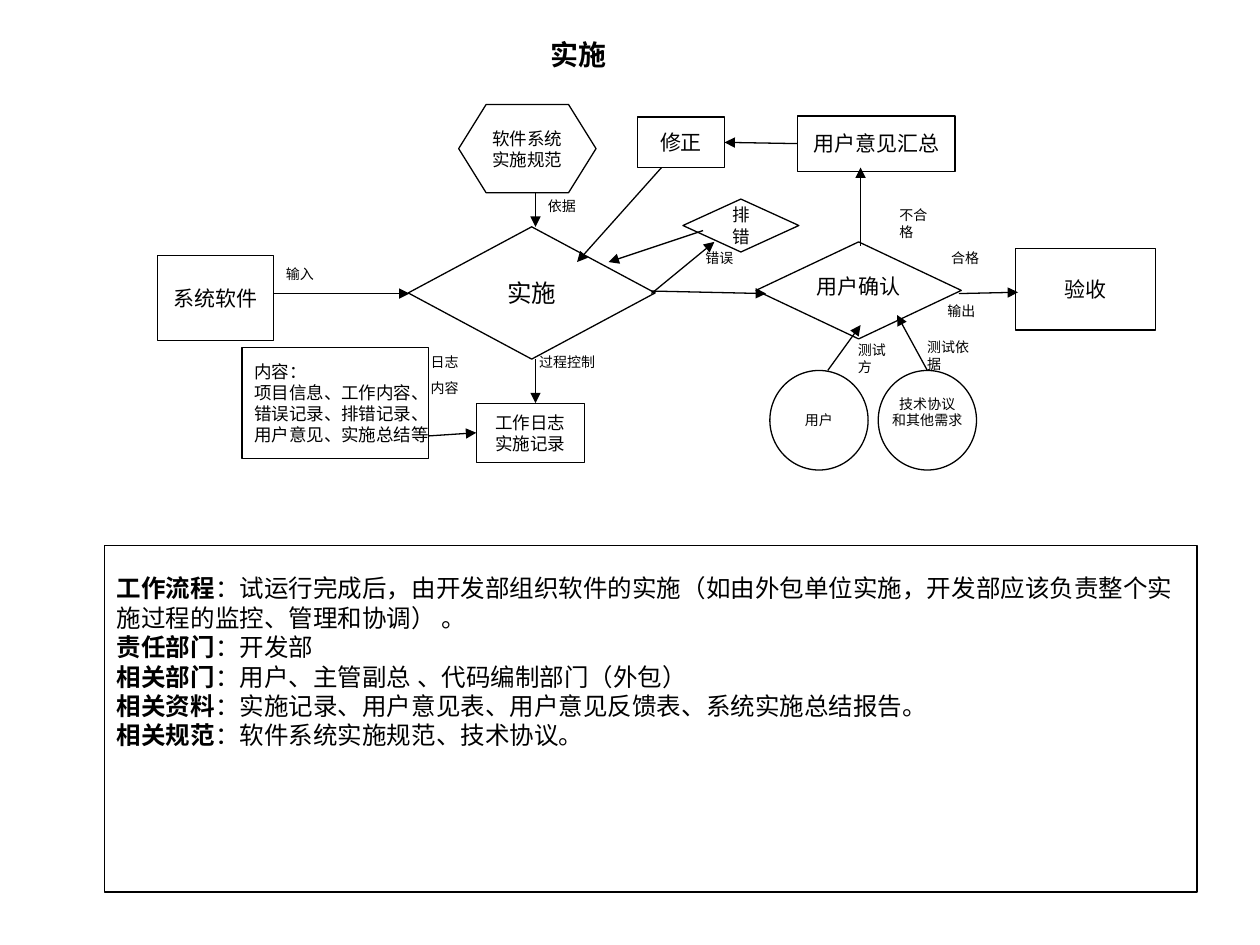
"""Build the software implementation process slide."""
from lxml import etree
from pptx import Presentation
from pptx.dml.color import RGBColor
from pptx.enum.dml import MSO_LINE
from pptx.enum.shapes import MSO_CONNECTOR, MSO_SHAPE
from pptx.enum.text import MSO_ANCHOR, MSO_AUTO_SIZE, PP_ALIGN
from pptx.oxml.ns import qn
from pptx.util import Inches, Pt

BLACK = RGBColor(0, 0, 0)
FONT = "Times New Roman"
LINE_WIDTH = Pt(0.75)
SOLID = MSO_LINE.SOLID
STRAIGHT = MSO_CONNECTOR.STRAIGHT
PROCESS = MSO_SHAPE.FLOWCHART_PROCESS
DECISION = MSO_SHAPE.FLOWCHART_DECISION
PREPARATION = MSO_SHAPE.FLOWCHART_PREPARATION
CIRCLE = MSO_SHAPE.FLOWCHART_CONNECTOR
RECTANGLE = MSO_SHAPE.RECTANGLE
LEFT, CENTER = PP_ALIGN.LEFT, PP_ALIGN.CENTER
TOP, MIDDLE = MSO_ANCHOR.TOP, MSO_ANCHOR.MIDDLE
FIT_SHAPE = MSO_AUTO_SIZE.SHAPE_TO_FIT_TEXT
LEFT_SIDE, RIGHT_SIDE = 1, 3


def write(box, text, size, align=LEFT, anchor=TOP, wrap=True, bold=False,
          bold_lead=False, gap=0, top=0.05, bottom=0.05):
    frame = box.text_frame
    frame.word_wrap = wrap
    frame.vertical_anchor = anchor
    frame.margin_left = frame.margin_right = Inches(0.1)
    frame.margin_top, frame.margin_bottom = Inches(top), Inches(bottom)
    for index, line in enumerate(text.split("\n")):
        para = frame.add_paragraph() if index else frame.paragraphs[0]
        para.alignment = align
        if index and gap:
            para.space_before = Pt(gap)
        lead, colon, rest = line.partition("：")
        parts = [(lead, True), (colon + rest, False)] if bold_lead else [(line, bold)]
        for part, is_bold in parts:
            span = para.add_run()
            span.text = part
            span.font.name = FONT
            span.font.size = Pt(size)
            span.font.bold = is_bold
            span.font.color.rgb = BLACK


def add_outline(page, kind, left, top, width, height):
    box = page.shapes.add_shape(
        kind, Inches(left), Inches(top), Inches(width), Inches(height))
    box.shadow.inherit = False
    box.fill.background()
    box.line.color.rgb = BLACK
    box.line.width = LINE_WIDTH
    return box


deck = Presentation()
deck.slide_width, deck.slide_height = Inches(10), Inches(7.5)
page = deck.slides.add_slide(deck.slide_layouts[6])

centered = {"align": CENTER, "anchor": MIDDLE, "wrap": False}
steps = [
    ("系统软件", PROCESS, 1.25, 2.03, 0.92, 0.67, 12, {}),
    ("实施", DECISION, 3.24, 1.8, 1.96, 1.05, 14, {}),
    ("验收", PROCESS, 8.06, 1.97, 1.11, 0.65, 12, {}),
    ("用户意见汇总", RECTANGLE, 6.33, 0.92, 1.25, 0.44, 12, {}),
    ("用户", CIRCLE, 6.11, 2.94, 0.78, 0.79, 8, {}),
    ("技术协议\n和其他需求", CIRCLE, 6.97, 2.94, 0.78, 0.79, 8, {"bottom": 0.18}),
    ("软件系统\n实施规范", PREPARATION, 3.64, 0.83, 1.09, 0.7, 10, {}),
    ("工作日志\n实施记录", RECTANGLE, 3.78, 3.2, 0.86, 0.47, 10, {}),
    ("用户确认", DECISION, 6, 1.92, 1.63, 0.77, 12, {"bottom": 0.11}),
    ("内容：\n项目信息、工作内容、\n错误记录、排错记录、\n用户意见、实施总结等",
     RECTANGLE, 1.92, 2.76, 1.48, 0.88, 10, {"align": LEFT}),
    ("排错", DECISION, 5.42, 1.58, 0.92, 0.42, 10, {"wrap": True}),
    ("修正", PROCESS, 5.06, 0.93, 0.69, 0.4, 12, {}),
]
boxes = {}
for text, kind, left, top, width, height, size, extra in steps:
    boxes[text] = add_outline(page, kind, left, top, width, height)
    write(boxes[text], text, size, **{**centered, **extra})

labels = [
    ("输入", 2.17, 2.06, 0.75, 0.24, True),
    ("合格", 7.45, 1.93, 0.42, 0.24, False),
    ("不合格", 7.04, 1.59, 0.53, 0.24, False),
    ("输出", 7.42, 2.35, 0.75, 0.24, True),
    ("依据", 4.25, 1.52, 0.74, 0.24, True),
    ("过程控制", 4.18, 2.76, 1.06, 0.24, True),
    ("日志\n内容", 3.32, 2.76, 0.82, 0.44, True),
    ("测试方", 6.71, 2.66, 0.53, 0.24, False),
    ("测试依据", 7.26, 2.64, 0.64, 0.24, False),
    ("错误", 5.5, 1.93, 0.75, 0.24, True),
]
for text, left, top, width, height, wrap in labels:
    label = page.shapes.add_textbox(
        Inches(left), Inches(top), Inches(width), Inches(height))
    write(label, text, 8, wrap=wrap, gap=5)
    label.text_frame.auto_size = FIT_SHAPE

title = page.shapes.add_textbox(Inches(4.27), Inches(0.25), Inches(1.2), Inches(0.37))
write(title, "实施", 16, bold=True)
title.text_frame.auto_size = FIT_SHAPE

arrows = [
    (2.17, 2.33, 3.25, 2.33),
    (5.17, 2.31, 6.08, 2.33),
    (7.61, 2.33, 8.08, 2.32),
    (6.83, 1.95, 6.83, 1.33),
    (6.33, 1.14, 5.75, 1.13),
    (6.57, 2.94, 6.83, 2.58),
    (7.36, 2.94, 7.12, 2.5),
    (4.25, 1.53, 4.25, 1.8),
    (4.25, 2.85, 4.25, 3.2),
    (3.4, 3.46, 3.78, 3.46),
    (5.17, 2.33, 5.67, 1.92),
    (5.58, 1.83, 4.83, 2.08),
    (5.25, 1.33, 4.58, 2.08),
]
joins = {
    (6.33, 1.14, 5.75, 1.13): ("用户意见汇总", "修正"),
    (3.4, 3.46, 3.78, 3.46): (None, "工作日志\n实施记录"),
}
for ends in arrows:
    arrow = page.shapes.add_connector(STRAIGHT, *[Inches(value) for value in ends])
    arrow.line.color.rgb = BLACK
    arrow.line.width = LINE_WIDTH
    arrow.line.dash_style = SOLID
    source, target = joins.get(ends, (None, None))
    if source:
        arrow.begin_connect(boxes[source], LEFT_SIDE)
    if target:
        arrow.end_connect(boxes[target], RIGHT_SIDE if source else LEFT_SIDE)
    properties = arrow.line._get_or_add_ln()
    etree.SubElement(properties, qn("a:tailEnd"), type="triangle")
    etree.SubElement(properties.getparent(), qn("a:effectLst"))

summary = (
    "工作流程：试运行完成后，由开发部组织软件的实施（如由外包单位实施，"
    "开发部应该负责整个实施过程的监控、管理和协调） 。\n"
    "责任部门：开发部\n"
    "相关部门：用户、主管副总 、代码编制部门（外包）\n"
    "相关资料：实施记录、用户意见表、用户意见反馈表、系统实施总结报告。\n"
    "相关规范：软件系统实施规范、技术协议。"
)
panel = add_outline(page, RECTANGLE, 0.83, 4.33, 8.67, 2.75)
write(panel, summary, 14, bold_lead=True, top=0.22)

deck.save("out.pptx")
